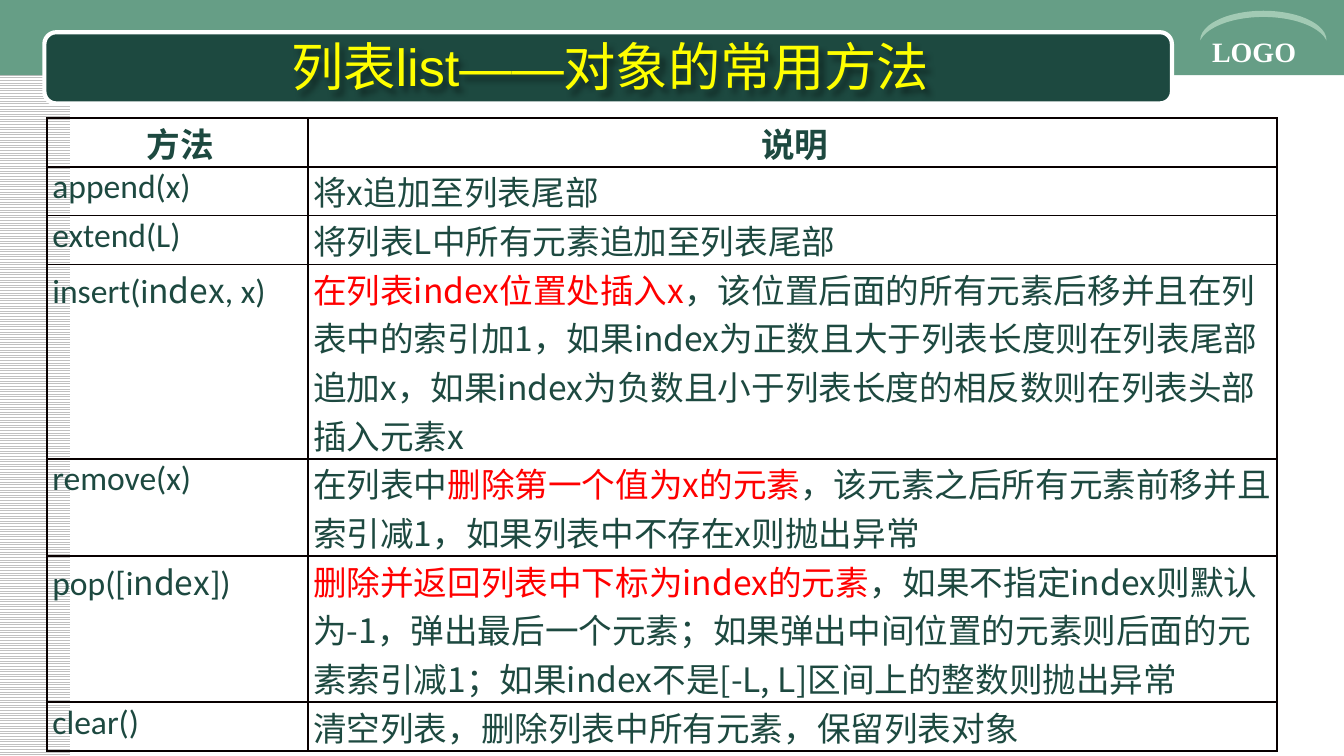
from lxml import etree
from pptx import Presentation
from pptx.dml.color import RGBColor
from pptx.enum.dml import MSO_PATTERN
from pptx.enum.shapes import MSO_SHAPE
from pptx.enum.text import MSO_ANCHOR, PP_ALIGN
from pptx.oxml import parse_xml
from pptx.oxml.ns import nsdecls, qn
from pptx.util import Inches, Pt

STRIPES = MSO_PATTERN.LIGHT_HORIZONTAL
RECT = MSO_SHAPE.RECTANGLE
ROUNDED = MSO_SHAPE.ROUNDED_RECTANGLE
MOON = MSO_SHAPE.MOON
CENTER = PP_ALIGN.CENTER
LEFT = PP_ALIGN.LEFT
MIDDLE = MSO_ANCHOR.MIDDLE
TOP = MSO_ANCHOR.TOP

COLORS = {
    "ink": "1D4940", "band": "669E86", "arc": "A2CAB4", "white": "FFFFFF",
    "stripe": "C0C0C0", "title": "FFFF00", "key": "FF0000", "border": "080000",
    "shadow": "000000",
}
CJK = "Noto Sans CJK SC"
CODE = "Calibri"
SLIDE_WIDTH = Inches(10)
SLIDE_HEIGHT = SLIDE_WIDTH * 9 // 16
COLUMN_WIDTHS = [1.94, 7.21]
ROW_HEIGHTS = [0.25, 0.25, 0.25, 0.98, 0.49, 0.98, 0.25]

METHODS = [
    ([("append(x)", CODE)], [("将x追加至列表尾部", "ink")]),
    ([("extend(L)", CODE)], [("将列表L中所有元素追加至列表尾部", "ink")]),
    ([("insert(i", CODE), ("ndex", CJK), (", x)", CODE)],
     [("在列表index位置处插入x", "key"),
      ("，该位置后面的所有元素后移并且在列表中的索引加1，如果index为正数且大于列表长度则在列表尾部追加x，"
       "如果index为负数且小于列表长度的相反数则在列表头部插入元素x", "ink")]),
    ([("remove(x)", CODE)],
     [("在列表中", "ink"), ("删除第一个值为x的元素", "key"),
      ("，该元素之后所有元素前移并且索引减1，如果列表中不存在x则抛出异常", "ink")]),
    ([("pop([i", CODE), ("ndex", CJK), ("])", CODE)],
     [("删除并返回列表中下标为index的元素", "key"),
      ("，如果不指定index则默认为-1，弹出最后一个元素；如果弹出中间位置的元素则后面的元素索引减1；"
       "如果index不是[-L, L]区间上的整数则抛出异常", "ink")]),
    ([("clear()", CODE)], [("清空列表，删除列表中所有元素，保留列表对象", "ink")]),
]


def rgb(name):
    return RGBColor.from_string(COLORS[name])


def add_run(paragraph, text, font, size, color, bold=False):
    run = paragraph.add_run()
    run.text = text
    run.font.size = Pt(size)
    run.font.bold = bold
    run.font.color.rgb = rgb(color)
    run.font.name = font
    east_asian = etree.SubElement(run.font._element, qn("a:ea"))
    east_asian.set("typeface", CJK)


def add_panel(slide, kind, box, color):
    panel = slide.shapes.add_shape(kind, *map(Inches, box))
    panel.shadow.inherit = False
    panel.fill.solid()
    panel.fill.fore_color.rgb = rgb(color)
    panel.line.fill.background()
    return panel


def add_backdrop(slide):
    side = add_panel(slide, RECT, (-0.01, 0, 0.53, 5.62), "white")
    side.height = SLIDE_HEIGHT
    side.fill.patterned()
    side.fill.pattern = STRIPES
    side.fill.fore_color.rgb = rgb("stripe")
    side.fill.back_color.rgb = rgb("white")
    add_panel(slide, RECT, (0, 0, 10.01, 0.56), "band")
    banner = add_panel(slide, ROUNDED, (0.33, 0.24, 8.39, 0.53), "ink")
    banner.line.color.rgb = rgb("white")
    banner.line.width = Pt(2.25)


def add_logo_label(slide):
    label = slide.shapes.add_textbox(Inches(8.92), Inches(0.21), Inches(1.08), Inches(0.35))
    label.text_frame.word_wrap = True
    add_run(label.text_frame.paragraphs[0], "LOGO", "Times New Roman", 15, "white", bold=True)
    arc = add_panel(slide, MOON, (9.29, -0.28, 0.22, 0.94), "arc")
    arc.adjustments[0] = 0.21
    arc.rotation = 90


def set_title(slide):
    title = slide.shapes.title
    slide.shapes._spTree.append(title._element)
    title.left, title.top = Inches(0.5), Inches(0.26)
    title.width, title.height = Inches(8.08), Inches(0.46)
    title.fill.background()
    title._element.spPr.append(parse_xml(
        f'<a:effectLst {nsdecls("a")}><a:outerShdw blurRad="38100" dist="38100" dir="2700000">'
        f'<a:srgbClr val="{COLORS["shadow"]}"><a:alpha val="43000"/></a:srgbClr>'
        '</a:outerShdw></a:effectLst>'))
    title.text_frame.vertical_anchor = MIDDLE
    heading = title.text_frame.paragraphs[0]
    heading.alignment = CENTER
    for text, font in [("列表", CJK), ("list——对象的常用方法", "Arial")]:
        add_run(heading, text, font, 28, "title")


def fill_cell(cell, runs, alignment=LEFT, bold=False):
    cell.margin_left = Inches(0.04)
    cell.margin_top = cell.margin_right = cell.margin_bottom = 0
    cell.vertical_anchor = TOP
    for side in "LRTB":
        cell._tc.get_or_add_tcPr().append(parse_xml(
            f'<a:ln{side} {nsdecls("a")} w="{Pt(1)}"><a:solidFill>'
            f'<a:srgbClr val="{COLORS["border"]}"/></a:solidFill></a:ln{side}>'))
    cell.fill.background()
    paragraph = cell.text_frame.paragraphs[0]
    paragraph.alignment = alignment
    for text, font, color in runs:
        add_run(paragraph, text, font, 18, color, bold)


def add_method_table(slide):
    table = slide.shapes.add_table(
        len(ROW_HEIGHTS), len(COLUMN_WIDTHS), Inches(0.35), Inches(0.88),
        Inches(sum(COLUMN_WIDTHS)), Inches(sum(ROW_HEIGHTS))).table
    table.first_row = False
    table.horz_banding = False
    for column, width in zip(table.columns, COLUMN_WIDTHS):
        column.width = Inches(width)
    for row, height in zip(table.rows, ROW_HEIGHTS):
        row.height = Inches(height)
    for index, heading in enumerate(["方法", "说明"]):
        fill_cell(table.cell(0, index), [(heading, CJK, "ink")], CENTER, True)
    for index, (signature, description) in enumerate(METHODS, 1):
        fill_cell(table.cell(index, 0), [(text, font, "ink") for text, font in signature])
        fill_cell(table.cell(index, 1), [(text, CJK, color) for text, color in description])


def main():
    deck = Presentation()
    deck.slide_width, deck.slide_height = SLIDE_WIDTH, SLIDE_HEIGHT
    slide = deck.slides.add_slide(deck.slide_layouts[5])
    add_backdrop(slide)
    add_logo_label(slide)
    set_title(slide)
    add_method_table(slide)
    deck.save("out.pptx")


if __name__ == "__main__":
    main()
